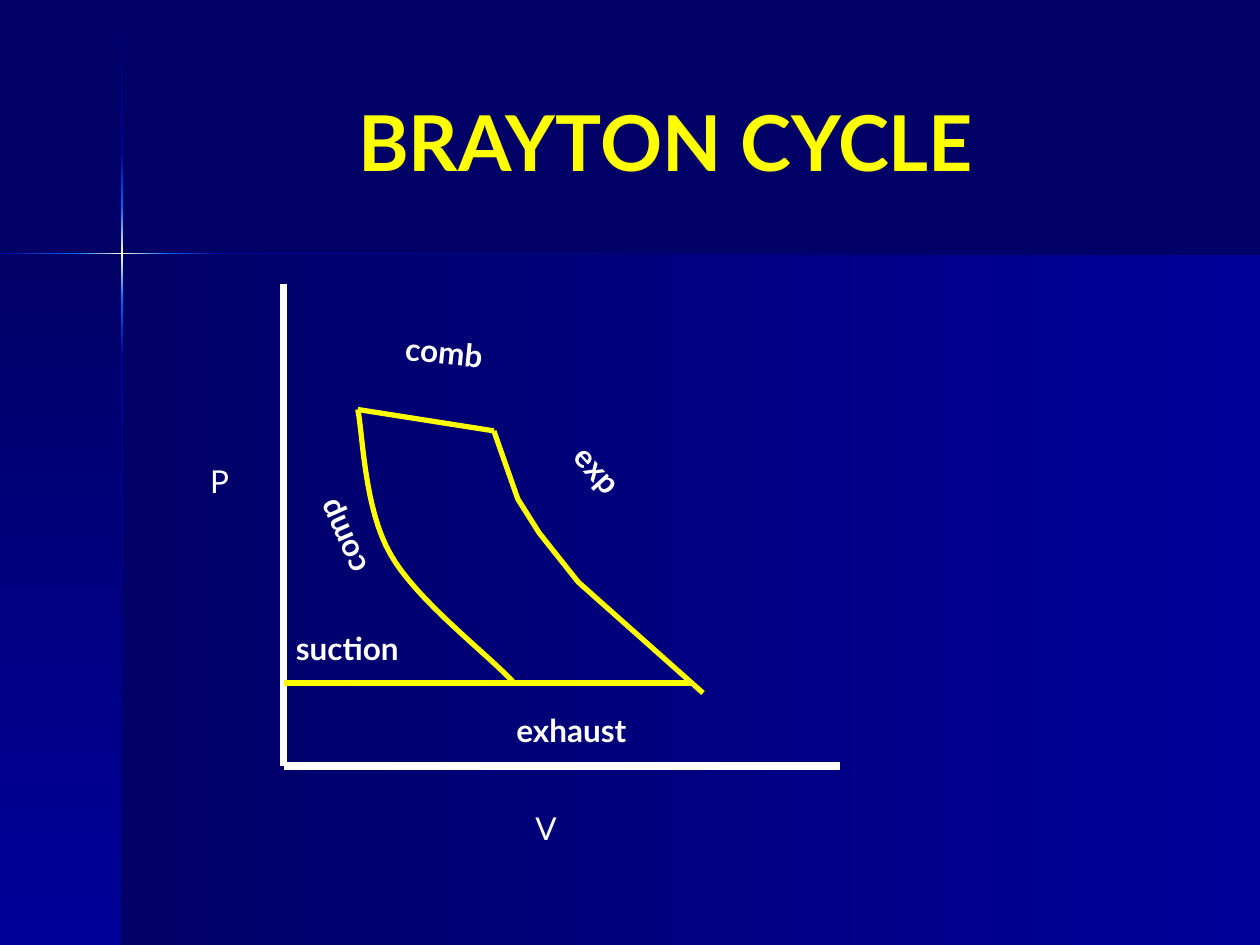
"""Build the Brayton cycle slide with its pressure-volume diagram."""
from copy import deepcopy
from dataclasses import dataclass

from lxml.etree import SubElement
from pptx import Presentation
from pptx.dml.color import RGBColor
from pptx.enum.shapes import MSO_CONNECTOR, MSO_SHAPE
from pptx.enum.text import MSO_ANCHOR, MSO_AUTO_SIZE, PP_ALIGN
from pptx.oxml.ns import qn
from pptx.util import Inches, Pt

FONT = "Lato"
COLORS = {
    "night": "000066",
    "navy": "000099",
    "azure": "0066FF",
    "spark": "FFFFCC",
    "axis": "FFFFFF",
    "cycle": "FFFF00",
}
Point = tuple[float, float]


@dataclass
class Band:
    left: float
    top: float
    width: float
    height: float
    stops: tuple[str, ...]
    vertical: bool = False


@dataclass
class Stroke:
    start: Point
    end: Point
    color: str = "cycle"
    weight: float = 3


@dataclass
class Label:
    text: str
    left: float
    top: float
    width: float
    height: float = 0.4
    rotation: float = 0
    size: float = 18
    bold: bool = True
    color: str = "axis"
    wrap: bool = True
    title: bool = False


GLINT = ("azure", "spark", "azure")
BANDS = [
    Band(0.97, 2.02, 9.03, 5.48, ("night", "navy")),
    Band(0, 2.02, 0.97, 5.48, ("night", "navy"), True),
    Band(0.96, 0.01, 0.02, 1.2, ("night", "navy"), True),
    Band(0.96, 2.82, 0.02, 4.68, ("navy", "night"), True),
    Band(1.77, 2.01, 8.23, 0.01, ("navy", "night")),
    Band(0.96, 2.38, 0.02, 0.44, ("azure", "navy"), True),
    Band(0.96, 1.21, 0.02, 0.44, ("navy", "azure"), True),
    Band(0.96, 1.65, 0.02, 0.73, GLINT, True),
    Band(0, 2.01, 0.61, 0.01, ("navy", "azure")),
    Band(1.33, 2.01, 0.44, 0.01, ("azure", "navy")),
    Band(0.6, 2.01, 0.74, 0.01, GLINT),
]

ORIGIN = (2.25, 6.08)
COMPRESSED, BURNT = (2.84, 3.25), (3.92, 3.42)
INTAKE, SUCTION_START, EXHAUST_END = (4.08, 5.42), (2.25, 5.42), (5.5, 5.42)
STROKES = [
    Stroke((2.25, 2.92), ORIGIN, "axis", 4.5),
    Stroke(ORIGIN, (6.67, 6.08), "axis", 4.5),
    Stroke((2.25, 3), (2.25, 2.25), "axis", 4.5),
    Stroke(COMPRESSED, BURNT),
    Stroke(INTAKE, SUCTION_START),
    Stroke(INTAKE, EXHAUST_END),
]
EXPANSION = [BURNT, (4.11, 3.96), (4.28, 4.23), (4.59, 4.62), (5.58, 5.5)]
COMPRESSION_CURVES = [
    (COMPRESSED, (2.88, 3.44), (2.89, 4.04), (3.1, 4.4)),
    ((3.1, 4.4), (3.3, 4.76), (3.88, 5.2), INTAKE),
]
LABELS = [
    Label("P", 1.57, 3.62, 0.34, bold=False, wrap=False),
    Label("V", 4.15, 6.37, 0.35, bold=False, wrap=False),
    Label("comp", 2.25, 4.03, 0.88, rotation=246.1, wrap=False),
    Label("comb", 3.12, 2.6, 0.97, rotation=5.9),
    Label("exp", 4.42, 3.58, 0.75, rotation=47.8),
    Label("exhaust", 4, 5.59, 1.33),
    Label("suction", 2.25, 4.94, 1.27),
    Label("BRAYTON CYCLE", 1.16, 0.33, 8.25, 1.57, size=44, color="cycle", title=True),
]


def rgb(name: str) -> RGBColor:
    return RGBColor.from_string(COLORS[name])


def draw_band(slide, band: Band) -> None:
    panel = slide.shapes.add_shape(
        MSO_SHAPE.RECTANGLE, *map(Inches, (band.left, band.top, band.width, band.height))
    )
    panel.shadow.inherit = False
    panel.line.fill.background()
    panel.fill.gradient()
    panel.fill.gradient_angle = 270 if band.vertical else 0
    stop_list = panel._element.spPr.find(".//" + qn("a:gsLst"))
    while len(stop_list) < len(band.stops):
        stop_list.append(deepcopy(stop_list[0]))
    for index, (stop, color) in enumerate(zip(panel.fill.gradient_stops, band.stops)):
        stop.color.rgb = rgb(color)
        stop.position = index / (len(band.stops) - 1)


def draw_stroke(slide, stroke: Stroke) -> None:
    connector = slide.shapes.add_connector(
        MSO_CONNECTOR.STRAIGHT, *map(Inches, stroke.start + stroke.end)
    )
    connector.line.color.rgb = rgb(stroke.color)
    connector.line.width = Pt(stroke.weight)
    SubElement(connector._element.spPr, qn("a:effectLst"))


def draw_path(slide, points: list[Point]) -> None:
    corners = [(Inches(x), Inches(y)) for x, y in points]
    builder = slide.shapes.build_freeform(*corners[0])
    builder.add_line_segments(corners[1:], close=False)
    path = builder.convert_to_shape()
    path.shadow.inherit = False
    path.fill.background()
    path.line.color.rgb = rgb("cycle")
    path.line.width = Pt(3)


def bezier_points(curve: tuple[Point, ...], steps: int = 16) -> list[Point]:
    def at(t: float) -> Point:
        weights = ((1 - t) ** 3, 3 * t * (1 - t) ** 2, 3 * t**2 * (1 - t), t**3)
        return tuple(sum(w * p[axis] for w, p in zip(weights, curve)) for axis in (0, 1))

    return [at(step / steps) for step in range(steps + 1)]


def draw_label(slide, label: Label) -> None:
    box = slide.shapes.add_textbox(
        *map(Inches, (label.left, label.top, label.width, label.height))
    )
    box.rotation = label.rotation
    frame = box.text_frame
    frame.word_wrap = label.wrap
    paragraph = frame.paragraphs[0]
    if label.title:
        frame.vertical_anchor = MSO_ANCHOR.MIDDLE
        paragraph.alignment = PP_ALIGN.CENTER
    else:
        frame.auto_size = MSO_AUTO_SIZE.SHAPE_TO_FIT_TEXT
    run = paragraph.add_run()
    run.text = label.text
    run.font.name = FONT
    run.font.size = Pt(label.size)
    run.font.bold = label.bold
    run.font.color.rgb = rgb(label.color)


def main() -> None:
    deck = Presentation()
    deck.slide_width, deck.slide_height = Inches(10), Inches(7.5)
    slide = deck.slides.add_slide(deck.slide_layouts[6])
    slide.background.fill.solid()
    slide.background.fill.fore_color.rgb = rgb("night")
    for band in BANDS:
        draw_band(slide, band)
    for stroke in STROKES:
        draw_stroke(slide, stroke)
    draw_path(slide, EXPANSION)
    first, second = map(bezier_points, COMPRESSION_CURVES)
    draw_path(slide, first + second[1:])
    for label in LABELS:
        draw_label(slide, label)
    deck.save("out.pptx")


if __name__ == "__main__":
    main()
